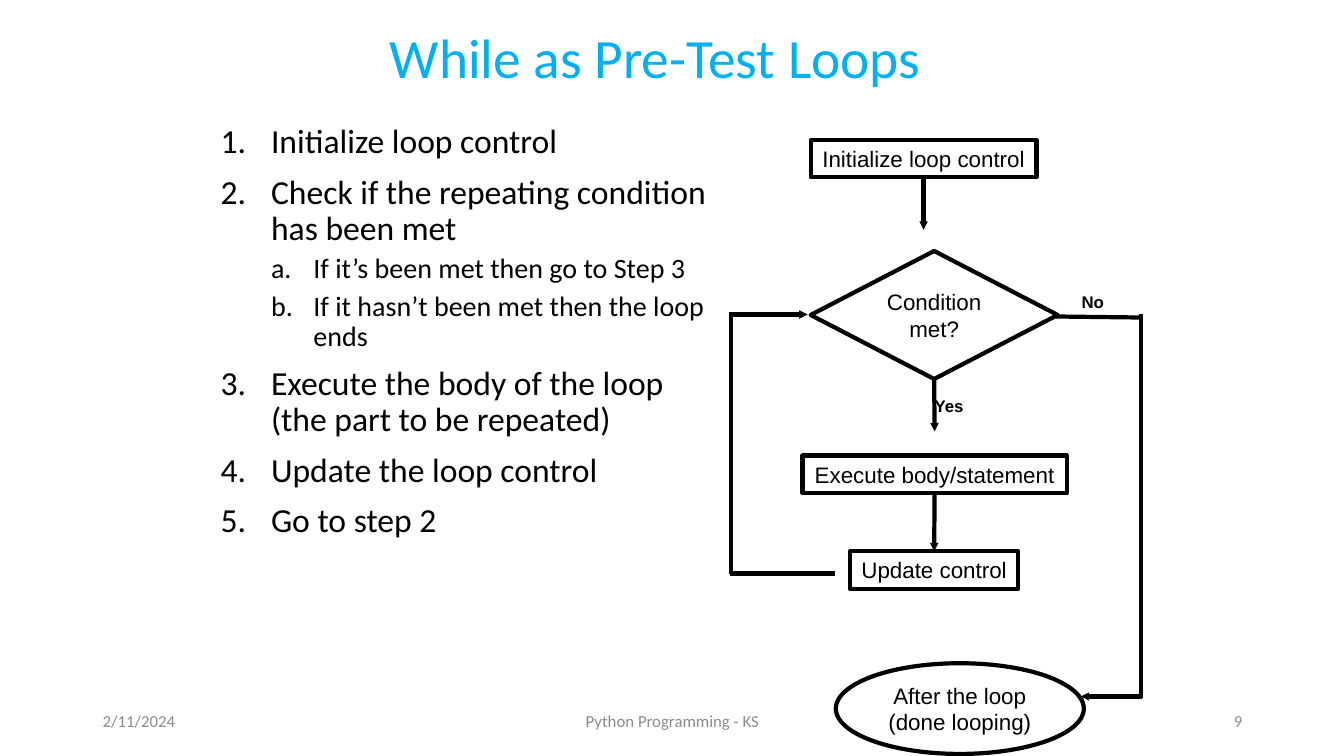
from lxml import etree
from pptx import Presentation
from pptx.dml.color import RGBColor
from pptx.enum import shapes as kinds, text as enums
from pptx.oxml import ns
from pptx.util import Inches, Pt

BLACK = RGBColor(0, 0, 0)
BLUE = RGBColor(0x00, 0xB0, 0xF0)
GRAY = RGBColor(0x8C, 0x8C, 0x8C)
LEFT, MID, RIGHT = enums.PP_ALIGN.LEFT, enums.PP_ALIGN.CENTER, enums.PP_ALIGN.RIGHT

deck = Presentation()
deck.slide_width, deck.slide_height = Inches(13.33), Inches(7.5)
slide = deck.slides.add_slide(deck.slide_layouts[6])


def write(par, words, size, font, color, align=LEFT, bold=False):
    par.alignment = align
    run = par.add_run()
    run.text = words
    run.font.size, run.font.name, run.font.bold = Pt(size), font, bold
    run.font.color.rgb = color


def add_box(*place):
    box = slide.shapes.add_textbox(*map(Inches, place))
    box.text_frame.word_wrap = True
    return box.text_frame


# Title
frame = add_box(2, 0.24, 9, 0.72)
frame.vertical_anchor = enums.MSO_ANCHOR.MIDDLE
frame.paragraphs[0].line_spacing = 0.9
write(frame.paragraphs[0], "While as Pre-Test Loops", 39.6, "Calibri", BLUE, MID)

# Numbered steps: level, words
steps = [
    (0, "Initialize loop control"),
    (0, "Check if the repeating condition has been met"),
    (1, "If it’s been met then go to Step 3"),
    (1, "If it hasn’t been met then the loop ends"),
    (0, "Execute the body of the loop (the part to be repeated)"),
    (0, "Update the loop control"),
    (0, "Go to step 2"),
]
styles = [(24, 10, 0.5, 0.5, "arabicPeriod"), (20, 5, 0.92, 0.42, "alphaLcPeriod")]
frame = add_box(2.09, 1.19, 5.07, 5.87)
for i, (level, words) in enumerate(steps):
    size, gap, left, hang, scheme = styles[level]
    par = frame.add_paragraph() if i else frame.paragraphs[0]
    par.level, par.line_spacing = level, 0.9
    par.space_before = Pt(gap if i else 0)
    write(par, words, size, "Calibri", BLACK)
    props = par._p.get_or_add_pPr()
    props.set("marL", str(Inches(left)))
    props.set("indent", str(-Inches(hang)))
    etree.SubElement(props, ns.qn("a:buAutoNum")).set("type", scheme)

# Flowchart nodes
RECT = kinds.MSO_SHAPE.RECTANGLE
nodes = {}
for key, kind, words, place in [
    ("init", RECT, "Initialize loop control", (8.04, 1.39, 2.24, 0.37)),
    ("body", RECT, "Execute body/statement", (7.96, 4.52, 2.62, 0.37)),
    ("test", kinds.MSO_SHAPE.DIAMOND, "Condition met?", (8.04, 2.49, 2.45, 1.27)),
    ("next", RECT, "Update control", (8.43, 5.47, 1.67, 0.37)),
    ("end", kinds.MSO_SHAPE.OVAL, "After the loop (done looping)", (8.29, 6.58, 2.46, 0.9)),
]:
    node = slide.shapes.add_shape(kind, *map(Inches, place))
    node.shadow.inherit = False
    node.fill.background()
    node.line.color.rgb, node.line.width = BLACK, Pt(3)
    frame = node.text_frame
    frame.word_wrap = kind != RECT
    frame.vertical_anchor = enums.MSO_ANCHOR.MIDDLE
    write(frame.paragraphs[0], words, 16, "Arial", BLACK, MID)
    nodes[key] = node

# Flow lines: ends, arrowhead, joined start node, joined end node
for ends, arrow, start, stop in [
    ((9.16, 1.76, 9.16, 2.28), True, "init", None),
    ((9.27, 3.76, 9.27, 4.28), True, "test", None),
    ((9.27, 4.89, 9.27, 5.47), True, "body", "next"),
    ((10.47, 3.14, 11.32, 3.15), False, None, None),
    ((11.32, 3.12, 11.32, 6.92), False, None, None),
    ((11.33, 6.91, 10.72, 6.91), True, None, None),
    ((8.28, 5.69, 7.24, 5.69), False, None, None),
    ((7.25, 5.69, 7.25, 3.13), False, None, None),
    ((7.23, 3.12, 8.01, 3.12), True, None, None),
]:
    flow = slide.shapes.add_connector(kinds.MSO_CONNECTOR.STRAIGHT, *map(Inches, ends))
    flow.line.color.rgb, flow.line.width = BLACK, Pt(3)
    if start:
        flow.begin_connect(nodes[start], 2)
    if stop:
        flow.end_connect(nodes[stop], 0)
    if arrow:
        tip = etree.SubElement(flow.line._get_or_add_ln(), ns.qn("a:tailEnd"))
        for name, value in (("type", "triangle"), ("w", "sm"), ("len", "sm")):
            tip.set(name, value)
    etree.SubElement(flow._element.spPr, ns.qn("a:effectLst"))

# Branch labels
for words, place in [("No", (10.63, 2.84, 0.63, 0.31)), ("Yes", (9.17, 3.88, 0.62, 0.31))]:
    write(add_box(*place).paragraphs[0], words, 12, "Arial", BLACK, bold=True)

# Footer
for words, left, width, align in [
    ("2/11/2024", 0.92, 3, LEFT),
    ("Python Programming - KS", 4.42, 4.5, MID),
    ("9", 9.42, 3, RIGHT),
]:
    frame = add_box(left, 6.95, width, 0.4)
    frame.vertical_anchor = enums.MSO_ANCHOR.MIDDLE
    write(frame.paragraphs[0], words, 12, "Calibri", GRAY, align)

deck.save("out.pptx")
